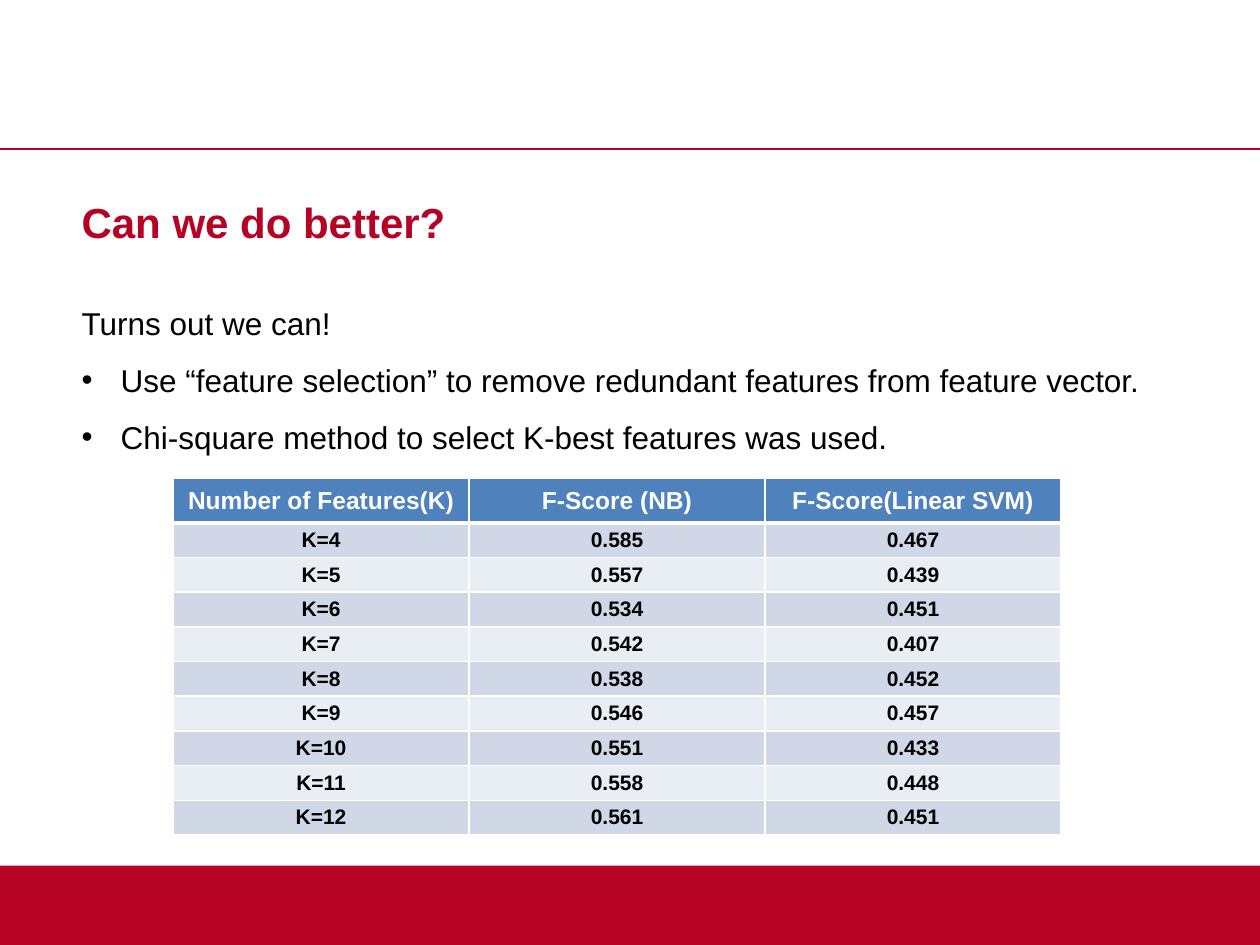
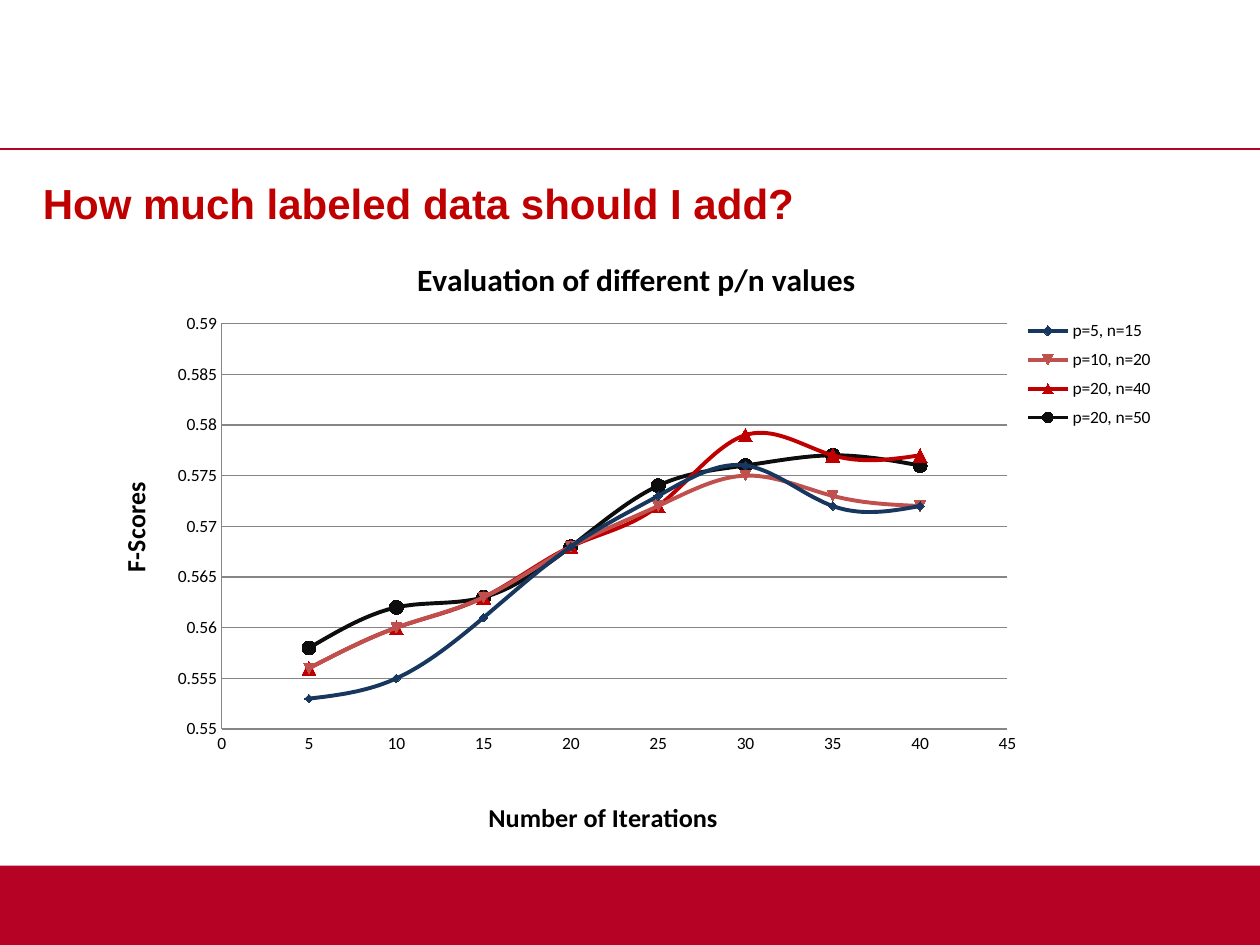
import pptx
import pptx.chart.data
import pptx.dml.color
import pptx.enum.chart
import pptx.enum.shapes
import pptx.enum.text
import pptx.oxml
import pptx.oxml.ns
import pptx.util

Cm, Pt = pptx.util.Cm, pptx.util.Pt
RGBColor = pptx.dml.color.RGBColor
qn = pptx.oxml.ns.qn
PP_ALIGN = pptx.enum.text.PP_ALIGN
MSO_ANCHOR = pptx.enum.text.MSO_ANCHOR
XL_MARKER = pptx.enum.chart.XL_MARKER_STYLE
A_NS = pptx.oxml.ns.nsdecls("a")

CRIMSON = RGBColor(0xB6, 0x02, 0x25)
RED = RGBColor(0xC0, 0x00, 0x00)
BRICK = RGBColor(0xC0, 0x50, 0x4D)
NAVY = RGBColor(0x17, 0x37, 0x5E)
INK = RGBColor(0x0D, 0x0D, 0x0D)
BLACK = RGBColor(0x00, 0x00, 0x00)
WHITE = RGBColor(0xFF, 0xFF, 0xFF)
GREY = RGBColor(0x86, 0x86, 0x86)
HEADER_BLUE = RGBColor(0x4F, 0x81, 0xBD)
ROW_FILLS = [RGBColor(0xD0, 0xD8, 0xE8), RGBColor(0xE9, 0xED, 0xF4)]


def write(tf, text, size=18, color=BLACK, bold=False, font="Arial",
          align=PP_ALIGN.LEFT, new=False):
    """Put text in the first or a new paragraph and return the paragraph."""
    p = tf.add_paragraph() if new else tf.paragraphs[0]
    p.alignment = align
    r = p.add_run()
    r.text = text
    r.font.name, r.font.size, r.font.bold = font, Pt(size), bold
    r.font.color.rgb = color
    return p


def place(parent, index, *fractions, target=""):
    """Set x, y and optionally w, h of a chart part, as fractions of the chart."""
    for old in parent.findall(qn("c:layout")):
        parent.remove(old)
    parts = f'<c:layoutTarget val="{target}"/>' if target else ""
    parts += '<c:xMode val="edge"/><c:yMode val="edge"/>'
    parts += "".join(f'<c:{k} val="{v}"/>' for k, v in zip("xywh", fractions))
    parent.insert(index, pptx.oxml.parse_xml(
        f'<c:layout {pptx.oxml.ns.nsdecls("c")}>'
        f'<c:manualLayout>{parts}</c:manualLayout></c:layout>'))


prs = pptx.Presentation()
prs.slide_width, prs.slide_height = Cm(25.4), Cm(19.05)

# Shared frame: title, footer band and top rule
pages = [
    (1, "Can we do better?", CRIMSON, 1.39, 3.84),
    (5, "How much labeled data should I add?", RED, 0.61, 3.45),
]
slides = []
for layout, title, color, left, top in pages:
    s = prs.slides.add_slide(prs.slide_layouts[layout])
    slides.append(s)

    band = s.shapes.add_shape(pptx.enum.shapes.MSO_SHAPE.RECTANGLE,
                              0, Cm(17.45), prs.slide_width, Cm(1.6))
    band.shadow.inherit = False
    band.fill.solid()
    band.fill.fore_color.rgb = CRIMSON
    band.line.fill.background()

    rule = s.shapes.add_connector(pptx.enum.shapes.MSO_CONNECTOR.STRAIGHT,
                                  0, Cm(3.01), prs.slide_width, Cm(3.01))
    rule.line.color.rgb = CRIMSON
    rule.line.width = Pt(1)
    rule._element.spPr.append(pptx.oxml.parse_xml(f'<a:effectLst {A_NS}/>'))

    sp = s.shapes.title
    sp.left, sp.top, sp.width, sp.height = Cm(left), Cm(top), Cm(22.1), Cm(1.27)
    tf = sp.text_frame
    tf.auto_size = pptx.enum.text.MSO_AUTO_SIZE.NONE
    tf.vertical_anchor = MSO_ANCHOR.TOP
    write(tf, title, size=24, color=color, bold=True)

# Slide 1: list
s = slides[0]
sp = s.placeholders[1]
sp.left, sp.top, sp.width, sp.height = Cm(1.39), Cm(5.63), Cm(22.1), Cm(3.8)
tf = sp.text_frame
tf.auto_size = pptx.enum.text.MSO_AUTO_SIZE.NONE
points = [
    ("Turns out we can!", False),
    ("Use “feature selection” to remove redundant features from feature vector.", True),
    ("Chi-square method to select K-best features was used.", True),
]
for i, (text, bulleted) in enumerate(points):
    p = write(tf, text, new=i > 0)
    p.line_spacing = 1.5
    p.space_before = Pt(0)
    pPr = p._p.get_or_add_pPr()
    indent = Cm(0.79) if bulleted else 0
    pPr.set("marL", str(indent))
    pPr.set("indent", str(-indent))
    bullet = 'buChar char="•"' if bulleted else "buNone"
    pPr.append(pptx.oxml.parse_xml(f'<a:{bullet} xmlns:a="{pPr.nsmap["a"]}"/>'))

# Slide 1: score table
scores = [
    ("Number of Features(K)", "F-Score (NB)", "F-Score(Linear SVM)"),
    ("K=4", "0.585", "0.467"),
    ("K=5", "0.557", "0.439"),
    ("K=6", "0.534", "0.451"),
    ("K=7", "0.542", "0.407"),
    ("K=8", "0.538", "0.452"),
    ("K=9", "0.546", "0.457"),
    ("K=10", "0.551", "0.433"),
    ("K=11", "0.558", "0.448"),
    ("K=12", "0.561", "0.451"),
]
table = s.shapes.add_table(len(scores), 3, Cm(3.49), Cm(9.64),
                           Cm(17.9), Cm(7.2)).table
for i, row in enumerate(scores):
    table.rows[i].height = Cm(0.7 if i else 0.9)
    for j, text in enumerate(row):
        cell = table.cell(i, j)
        cell.margin_left = cell.margin_right = Cm(0.18)
        cell.margin_top = cell.margin_bottom = 0
        cell.vertical_anchor = MSO_ANCHOR.MIDDLE
        cell.fill.solid()
        cell.fill.fore_color.rgb = ROW_FILLS[(i - 1) % 2] if i else HEADER_BLUE
        write(cell.text_frame, text, size=12 if i else 14, bold=True,
              color=BLACK if i else WHITE, align=PP_ALIGN.CENTER)
        if i == 0:  # thick white line under the header
            cell._tc.get_or_add_tcPr().insert(0, pptx.oxml.parse_xml(
                f'<a:lnB {A_NS} w="{Pt(3)}"><a:solidFill>'
                f'<a:srgbClr val="{WHITE}"/></a:solidFill></a:lnB>'))

# Slide 2: chart data
s = slides[1]
iterations = range(5, 45, 5)
series_specs = [
    ("p=5, n=15", NAVY, XL_MARKER.DIAMOND, 5,
     [0.553, 0.555, 0.561, 0.568, 0.573, 0.576, 0.572, 0.572]),
    ("p=10, n=20", BRICK, None, 6,
     [0.556, 0.56, 0.563, 0.568, 0.572, 0.575, 0.573, 0.572]),
    ("p=20, n=40", RED, XL_MARKER.TRIANGLE, 8,
     [0.556, 0.56, 0.563, 0.568, 0.572, 0.579, 0.577, 0.577]),
    ("p=20, n=50", INK, XL_MARKER.CIRCLE, 8,
     [0.558, 0.562, 0.563, 0.568, 0.574, 0.576, 0.577, 0.576]),
]
data = pptx.chart.data.XyChartData()
for name, color, marker, size, values in series_specs:
    series = data.add_series(name)
    for x, y in zip(iterations, values):
        series.add_data_point(x, y)
chart = s.shapes.add_chart(pptx.enum.chart.XL_CHART_TYPE.XY_SCATTER_SMOOTH,
                           Cm(1.83), Cm(4.72), Cm(22), Cm(12.24), data).chart
chart.font.name, chart.font.size = "Calibri", Pt(10)
chart.font.color.rgb = BLACK
chart.has_title = True
write(chart.chart_title.text_frame, "Evaluation of different p/n values",
      bold=True, font="Calibri", align=PP_ALIGN.CENTER)

# Slide 2: series
plot = chart.plots[0]
plot.vary_by_categories = False
for series, (name, color, marker, size, values) in zip(plot.series, series_specs):
    series.format.line.color.rgb = color
    series.format.line.width = Pt(2.25)
    if marker is not None:
        series.marker.style = marker
    series.marker.size = size
    series.marker.format.fill.solid()
    series.marker.format.fill.fore_color.rgb = color
    series.marker.format.line.color.rgb = color
    series._element.get_or_add_smooth().set("val", "1")

# Slide 2: axes
axes = [
    (chart.category_axis, "Number of Iterations", 0, 45, 5, False, (0.36, 0.94)),
    (chart.value_axis, "F-Scores", 0.55, 0.59, 0.005, True, (0.02, 0.41)),
]
for axis, title, low, high, step, grid, corner in axes:
    axis.minimum_scale, axis.maximum_scale, axis.major_unit = low, high, step
    axis.major_tick_mark = axis.minor_tick_mark = pptx.enum.chart.XL_TICK_MARK.NONE
    axis.tick_labels.number_format = "General"
    axis.tick_labels.number_format_is_linked = False
    axis.format.line.color.rgb = GREY
    axis.has_major_gridlines = grid
    if grid:
        axis.major_gridlines.format.line.color.rgb = GREY
    axis.has_title = True
    write(axis.axis_title.text_frame, title, size=15, bold=True,
          font="Calibri", align=PP_ALIGN.CENTER)
    place(axis.axis_title._element, 1, *corner)

# Slide 2: legend and plot area
chart.has_legend = True
legend = chart.legend
legend.position = pptx.enum.chart.XL_LEGEND_POSITION.RIGHT
legend.include_in_layout = False
place(legend._element, 1, 0.84, 0.13, 0.15, 0.21)
place(chart._chartSpace.chart.plotArea, 0, 0.12, 0.15, 0.72, 0.68, target="inner")

prs.save("out.pptx")
